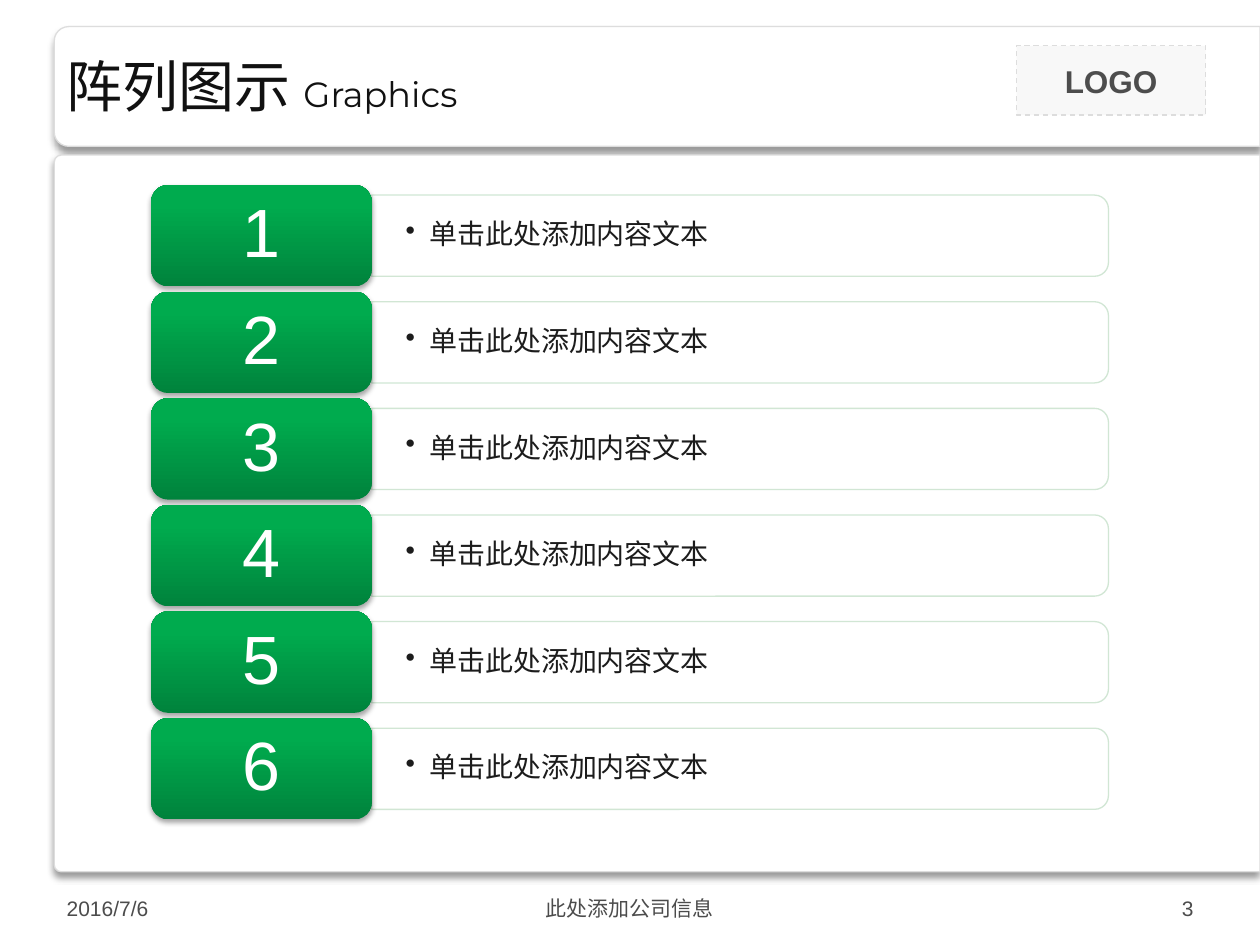
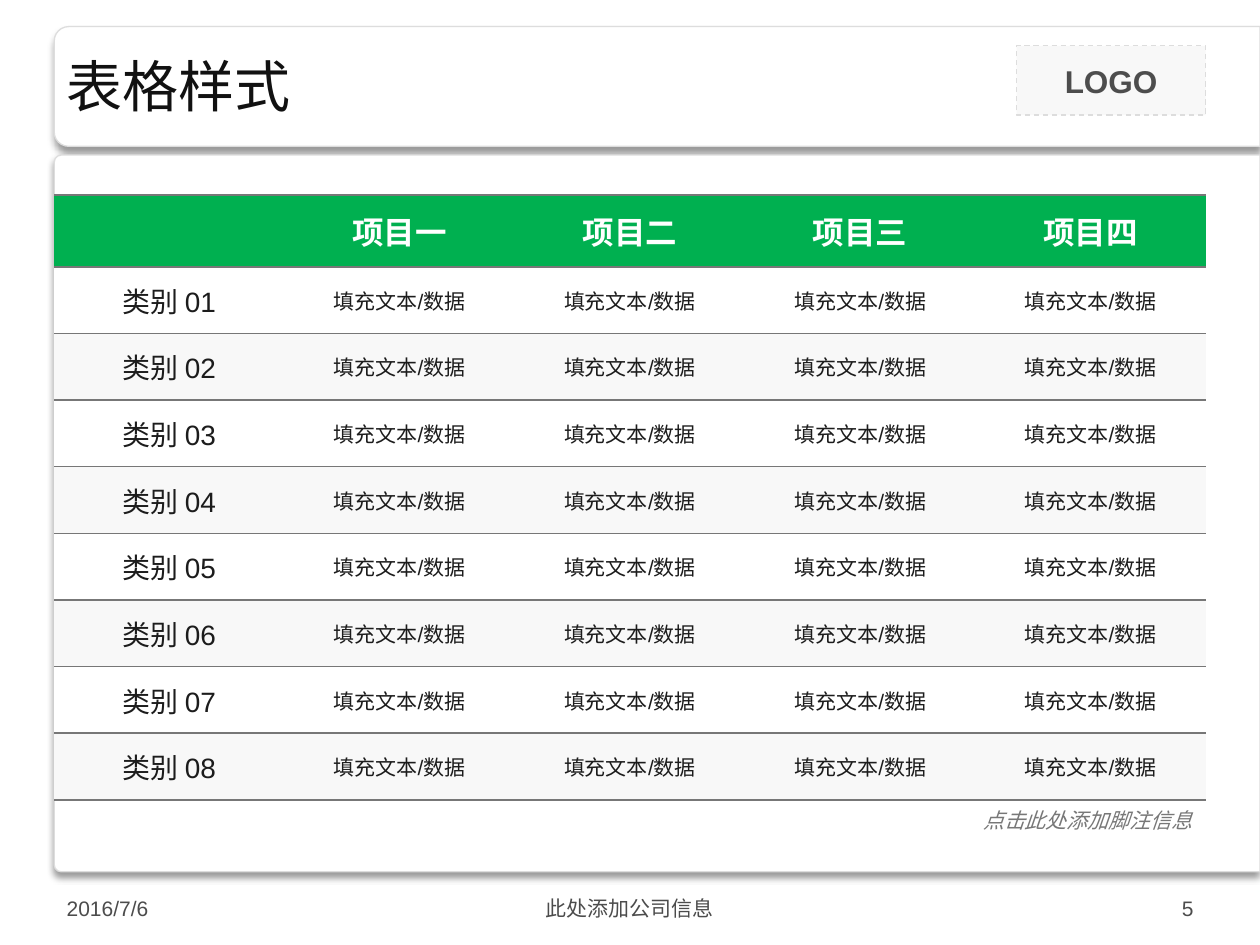
from lxml.etree import SubElement
from pptx import Presentation
from pptx.dml.color import RGBColor
from pptx.enum.dml import MSO_LINE
from pptx.enum.shapes import MSO_SHAPE
from pptx.enum.text import MSO_ANCHOR, PP_ALIGN
from pptx.oxml.ns import qn
from pptx.util import Pt

WHITE, PALE, RULE = "FFFFFF", "F8F8F8", "DDDDDD"
INK, TITLE_INK, GREY, NOTE_GREY = "1C1C1C", "111111", "4C4C4C", "777777"
GREEN, LIGHT_GREEN, DARK_GREEN, MINT = "00B050", "00AB4E", "00833C", "CCE4D0"

# Boxes are left, top, width, height in points
LEFT, CONTENT_WIDTH = 31, 658
HEADER_BOX = (LEFT, 15.2, 689, 68.4)
BODY_BOX = (LEFT, 88.6, 689, 409.6)
LOGO_BOX = (581, 26.2, 108, 39.6)
TITLE_BOX = (LEFT, 20, CONTENT_WIDTH, 57)
FOOTER_BOX = (LEFT, 508.3, CONTENT_WIDTH, 21)
LIST_BOX = (86.4, 105.7, 547, 362.6)
TABLE_BOX = (LEFT, 111.5, CONTENT_WIDTH, 345.6)
NOTE_BOX = (553.4, 458.2, 135.4, 21.6)


def rgb(value):
    return RGBColor.from_string(value)


def points(*lengths):
    return [Pt(length) for length in lengths]


def set_alpha(fill_owner, percent):
    for color in fill_owner.iter(qn("a:srgbClr")):
        SubElement(color, qn("a:alpha"), val=str(percent * 1000))


def add_shadow(shape, alpha, blur, distance):
    effects = shape._element.spPr.find(qn("a:effectLst"))
    shadow = SubElement(effects, qn("a:outerShdw"), blurRad=str(int(Pt(blur))),
                        dist=str(int(Pt(distance))), dir="5400000", rotWithShape="0")
    SubElement(shadow, qn("a:srgbClr"), val="000000")
    set_alpha(shadow, alpha)


def add_span(para, text, size=12, color=INK, font="Arial", bold=False, italic=False):
    span = para.add_run()
    span.text = text
    span.font.size, span.font.name = Pt(size), font
    span.font.bold, span.font.italic = bold, italic
    span.font.color.rgb = rgb(color)


def write(frame, text, align=PP_ALIGN.LEFT, anchor=MSO_ANCHOR.MIDDLE, spacing=None,
          wrap=True, **style):
    frame.word_wrap = wrap
    frame.vertical_anchor = anchor
    para = frame.paragraphs[0]
    para.alignment, para.line_spacing = align, spacing
    add_span(para, text, **style)
    return para


def add_text(page, box, text, **style):
    return write(page.shapes.add_textbox(*points(*box)).text_frame, text, **style)


def add_box(page, kind, box, fill=None, line=None):
    shape = page.shapes.add_shape(kind, *points(*box))
    shape.shadow.inherit = False
    if fill:
        shape.fill.solid()
        shape.fill.fore_color.rgb = rgb(fill)
    if line:
        shape.line.color.rgb = rgb(line)
        shape.line.width = Pt(0.75)
    else:
        shape.line.fill.background()
    return shape


def add_side_rounded(page, box, rotation, line, radius=0.17):
    """Draw a box rounded on one side: left at 270 degrees, right at 90."""
    left, top, width, height = box
    upright = (left + (width - height) / 2, top + (height - width) / 2, height, width)
    shape = add_box(page, MSO_SHAPE.ROUND_2_SAME_RECTANGLE, upright, WHITE, line)
    shape.rotation = rotation
    shape.adjustments[0], shape.adjustments[1] = radius, 0
    return shape


# Shared frame: two panels, logo slot, title and footer
def add_frame(page, number, title, subtitle=""):
    for box, radius in ((HEADER_BOX, 0.12), (BODY_BOX, 0.01)):
        panel = add_side_rounded(page, box, 270, RULE, radius)
        add_shadow(panel, alpha=40, blur=4, distance=3)

    logo = add_box(page, MSO_SHAPE.RECTANGLE, LOGO_BOX, PALE, RULE)
    logo.line.dash_style = MSO_LINE.DASH
    write(logo.text_frame, "LOGO", align=PP_ALIGN.CENTER, size=18, color="4D4D4D", bold=True)

    para = add_text(page, TITLE_BOX, title, size=32, color=TITLE_INK, font="Montserrat")
    if subtitle:
        add_span(para, subtitle, size=20, color=TITLE_INK, font="Montserrat")
    add_footer(page, FOOTER_BOX, number)


def add_footer(page, box, number):
    left, top, width, height = box
    side, middle = 168, 228
    parts = (
        (0, side, "2016/7/6", PP_ALIGN.LEFT),
        ((width - middle) / 2, middle, "此处添加公司信息", PP_ALIGN.CENTER),
        (width - side, side, str(number), PP_ALIGN.RIGHT),
    )
    for offset, part_width, text, align in parts:
        add_text(page, (left + offset, top, part_width, height), text, align=align, color=GREY)


# Numbered list: green tiles with a text bar each
def add_numbered_list(page, box, items):
    left, top, width, height = box
    tile_width, tile_height, bar_height = 126, 58, 46.4
    pitch = (height - tile_height) / (len(items) - 1)
    for index, text in enumerate(items):
        row_top = top + index * pitch
        bar_box = (left + tile_width, row_top + (tile_height - bar_height) / 2,
                   width - tile_width, bar_height)
        add_bar(page, bar_box, text)
        add_tile(page, (left, row_top, tile_width, tile_height), str(index + 1))


def add_bar(page, box, text):
    bar = add_side_rounded(page, box, 90, MINT)
    set_alpha(bar._element.spPr, 90)
    label = page.shapes.add_textbox(*points(*box))
    frame = label.text_frame
    frame.margin_left = frame.margin_right = Pt(19.4)
    para = write(frame, text, size=16, spacing=0.9)
    properties = para._p.get_or_add_pPr()
    properties.set("marL", str(int(Pt(13.7))))
    properties.set("indent", str(int(Pt(-13.7))))
    SubElement(properties, qn("a:buChar"), char="•")


def add_tile(page, box, text):
    tile = add_box(page, MSO_SHAPE.ROUNDED_RECTANGLE, box)
    tile.fill.gradient()
    tile.fill.gradient_angle = 90
    for stop, (position, color) in zip(tile.fill.gradient_stops,
                                       ((0, DARK_GREEN), (0.8, LIGHT_GREEN))):
        stop.position = position
        stop.color.rgb = rgb(color)
    add_shadow(tile, alpha=35, blur=3.1, distance=1.8)
    write(tile.text_frame, text, align=PP_ALIGN.CENTER, spacing=0.9, size=39, color=WHITE)


# Table: green head, banded rows, horizontal rules only
def set_borders(cell):
    properties = cell._tc.get_or_add_tcPr()
    for index, side in enumerate(("lnL", "lnR", "lnT", "lnB")):
        line = properties.makeelement(qn("a:" + side), {"w": str(int(Pt(1)))})
        properties.insert(index, line)
        if side in ("lnT", "lnB"):
            fill = SubElement(line, qn("a:solidFill"))
            SubElement(fill, qn("a:srgbClr"), val=NOTE_GREY)
        else:
            SubElement(line, qn("a:noFill"))


def add_data_table(page, box, rows):
    head_height = 41
    row_height = (box[3] - head_height) / (len(rows) - 1)
    table = page.shapes.add_table(len(rows), len(rows[0]), *points(*box)).table
    table.horz_banding = False
    for column in table.columns:
        column.width = Pt(box[2] / len(rows[0]))
    for r, texts in enumerate(rows):
        table.rows[r].height = Pt(row_height if r else head_height)
        for c, text in enumerate(texts):
            cell = table.cell(r, c)
            cell.fill.solid()
            cell.fill.fore_color.rgb = rgb(GREEN if r == 0 else WHITE if r % 2 else PALE)
            set_borders(cell)
            if r == 0:
                style = dict(size=18, color=WHITE, bold=True)
            else:
                style = dict(size=12 if c else 16)
            cell.vertical_anchor = MSO_ANCHOR.MIDDLE
            if text:
                para = cell.text_frame.paragraphs[0]
                para.alignment = PP_ALIGN.CENTER
                add_span(para, text, **style)


def build_list_page(page):
    add_frame(page, 3, "阵列图示 ", "Graphics")
    add_numbered_list(page, LIST_BOX, ["单击此处添加内容文本"] * 6)


def build_table_page(page):
    add_frame(page, 5, "表格样式")
    head = [""] + ["项目" + numeral for numeral in "一二三四"]
    body = [[f"类别 {number:02}"] + ["填充文本/数据"] * 4 for number in range(1, 9)]
    add_data_table(page, TABLE_BOX, [head] + body)
    add_text(page, NOTE_BOX, "点击此处添加脚注信息", align=PP_ALIGN.RIGHT,
             anchor=MSO_ANCHOR.TOP, wrap=False, color=NOTE_GREY, italic=True)


def main():
    deck = Presentation()
    deck.slide_width, deck.slide_height = points(720, 540)
    for build in (build_list_page, build_table_page):
        build(deck.slides.add_slide(deck.slide_layouts[6]))
    deck.save("out.pptx")


if __name__ == "__main__":
    main()
